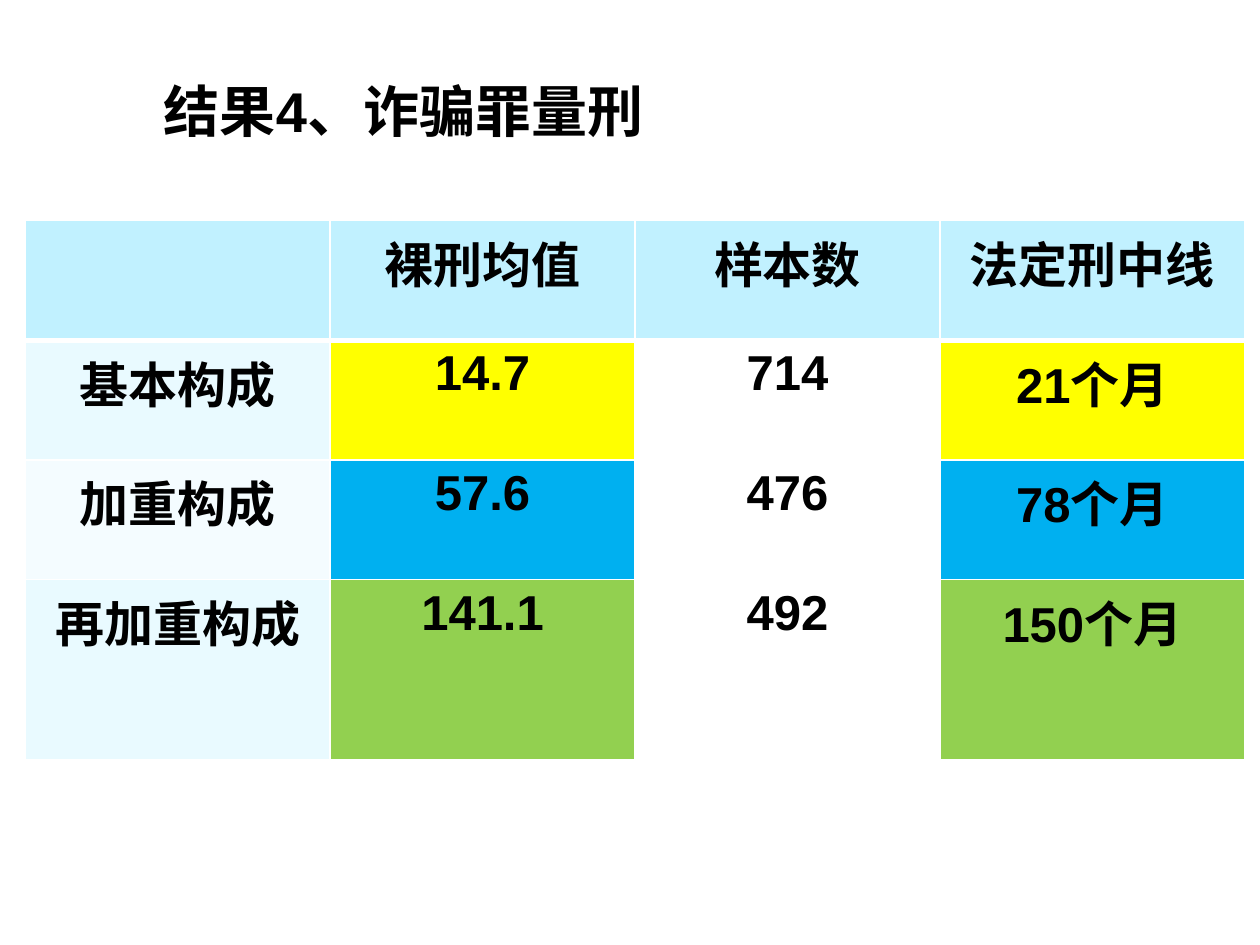
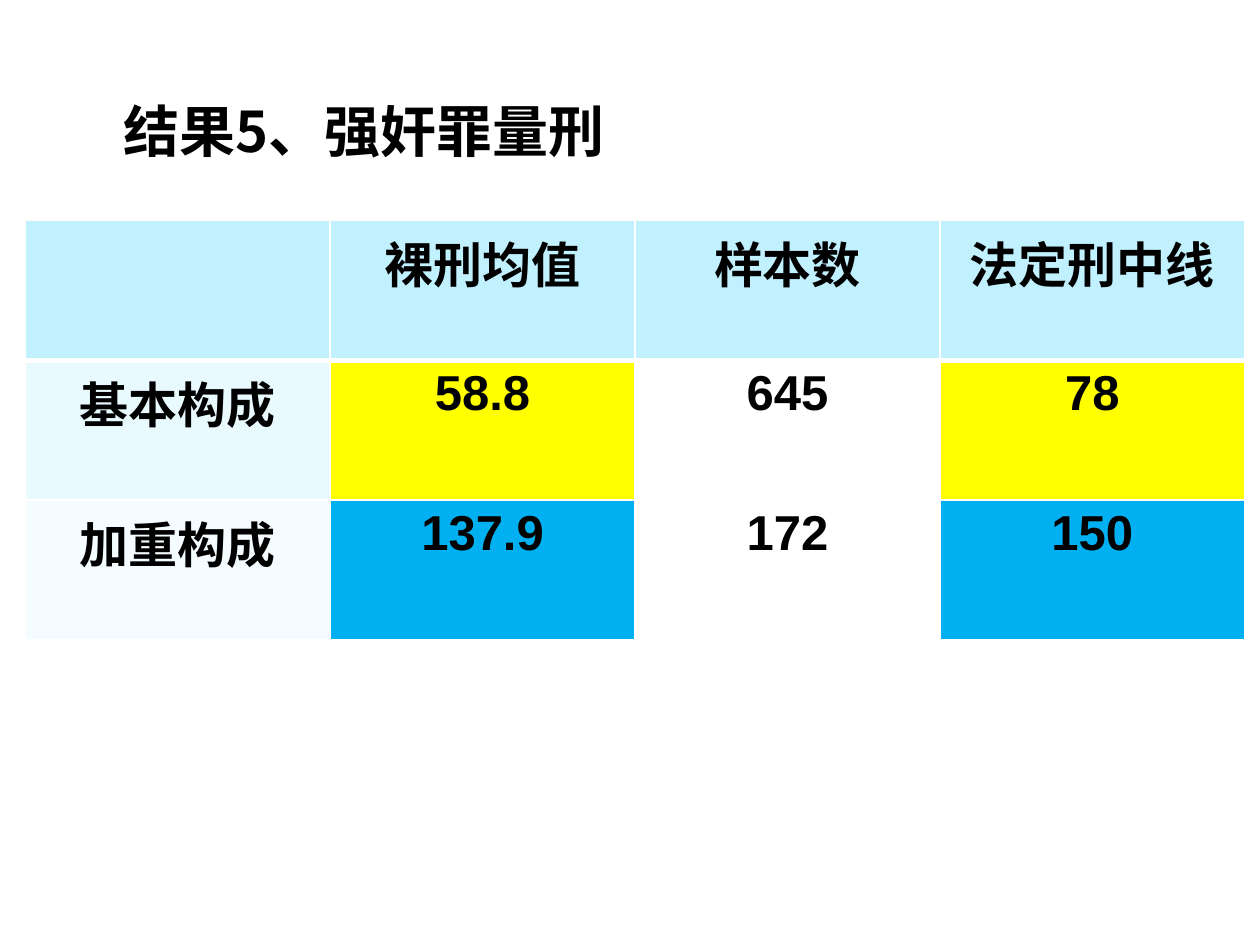
from lxml import etree
from pptx import Presentation
from pptx.dml.color import RGBColor
from pptx.enum import text
from pptx.oxml import ns
from pptx.util import Inches, Pt

BLACK, WHITE = "000000", "FFFFFF"
HEADER_FILL = "C1F1FF"
BAND_FILLS = ["E9FAFF", "F4FCFF"]
LEVEL_FILLS = ["FFFF00", "00B0F0", "92D050"]
LATIN, CJK = "Arial", "Noto Sans CJK SC"
HEADINGS = ["", "裸刑均值", "样本数", "法定刑中线"]
COLUMN_WIDTH = 2.42


def rgb(color):
    return RGBColor.from_string(color)


def style_font(paragraph, size, latin):
    """Bold black text with a Chinese face beside the Latin one."""
    font = paragraph.font
    font.size, font.bold, font.name = Pt(size), True, latin
    font.color.rgb = rgb(BLACK)
    properties = paragraph._p.pPr.find(ns.qn("a:defRPr"))
    etree.SubElement(properties, ns.qn("a:ea"), typeface=CJK)


def add_title(slide, left, top, wording, latin):
    title = slide.shapes.add_textbox(
        Inches(left), Inches(top), Inches(7.84), Inches(0.54))
    frame = title.text_frame
    frame.word_wrap = True
    frame.vertical_anchor = text.MSO_ANCHOR.MIDDLE
    frame.margin_left = frame.margin_right = 0
    frame.margin_top = frame.margin_bottom = 0
    frame.text = wording
    style_font(frame.paragraphs[0], 32, latin)


def set_borders(cell, top=1, bottom=1):
    """White lines on all four sides, widths in points."""
    properties = cell._tc.get_or_add_tcPr()
    for side, width in (("L", 1), ("R", 1), ("T", top), ("B", bottom)):
        line = etree.SubElement(properties, ns.qn(f"a:ln{side}"), w=str(Pt(width)))
        fill = etree.SubElement(line, ns.qn("a:solidFill"))
        etree.SubElement(fill, ns.qn("a:srgbClr"), val=WHITE)


def fill_for(row, column):
    """Header, banded label, or level colour; sample counts stay unfilled."""
    if row == 0:
        return HEADER_FILL
    if column == 0:
        return BAND_FILLS[(row - 1) % 2]
    return None if column == 2 else LEVEL_FILLS[row - 1]


def fill_cell(cell, row, column, wording):
    set_borders(cell, top=3 if row == 1 else 1, bottom=3 if row == 0 else 1)
    color = fill_for(row, column)
    if color:
        cell.fill.solid()
        cell.fill.fore_color.rgb = rgb(color)
    else:
        cell.fill.background()
    cell.text = wording
    paragraph = cell.text_frame.paragraphs[0]
    paragraph.alignment = text.PP_ALIGN.CENTER
    style_font(paragraph, 28, CJK if row == 0 else LATIN)


def add_sentence_table(slide, levels, row_heights):
    rows = [HEADINGS] + levels
    table = slide.shapes.add_table(
        len(rows), len(HEADINGS), Inches(0.2), Inches(1.75),
        Inches(COLUMN_WIDTH * len(HEADINGS)), Inches(sum(row_heights))).table
    table.first_row = table.horz_banding = False
    for column in table.columns:
        column.width = Inches(COLUMN_WIDTH)
    for row, (wordings, height) in enumerate(zip(rows, row_heights)):
        table.rows[row].height = Inches(height)
        for column, wording in enumerate(wordings):
            fill_cell(table.cell(row, column), row, column, wording)


def add_slide(deck):
    slide = deck.slides.add_slide(deck.slide_layouts[6])
    slide.background.fill.solid()
    slide.background.fill.fore_color.rgb = rgb(WHITE)
    return slide


def main():
    deck = Presentation()
    deck.slide_width, deck.slide_height = Inches(10), Inches(7.5)

    fraud = add_slide(deck)
    add_title(fraud, 1.3, 0.6, "结果4、诈骗罪量刑", LATIN)
    add_sentence_table(fraud, [
        ["基本构成", "14.7", "714", "21个月"],
        ["加重构成", "57.6", "476", "78个月"],
        ["再加重构成", "141.1", "492", "150个月"],
    ], [0.95, 0.95, 0.95, 1.43])

    rape = add_slide(deck)
    add_title(rape, 0.98, 0.76, "结果5、强奸罪量刑", CJK)
    add_sentence_table(rape, [
        ["基本构成", "58.8", "645", "78"],
        ["加重构成", "137.9", "172", "150"],
    ], [1.11] * 3)

    deck.save("out.pptx")


if __name__ == "__main__":
    main()
